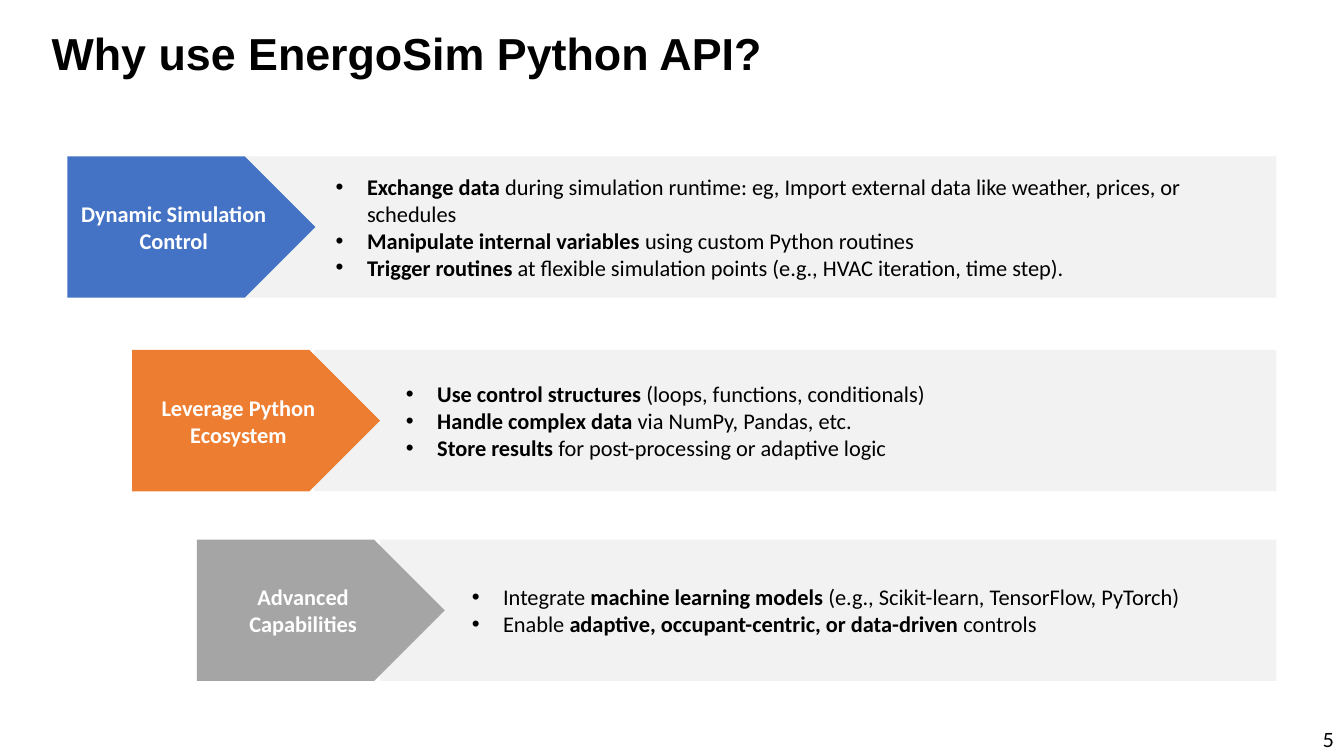
import pptx
import pptx.dml.color
import pptx.enum.shapes
import pptx.enum.text
import pptx.oxml
import pptx.oxml.ns
import pptx.util

Cm = pptx.util.Cm
ALIGN = pptx.enum.text.PP_ALIGN
SHAPES = pptx.enum.shapes.MSO_SHAPE

COLOURS = {
    "text": "000000",
    "label": "FFFFFF",
    "panel": "F2F2F2",
    "control": "4472C4",
    "ecosystem": "ED7D31",
    "capabilities": "A5A5A5",
}

# All lengths below are in centimetres
SLIDE_WIDTH, SLIDE_HEIGHT = 33.87, 19.05
ROW_LEFT, ROW_INDENT, ROW_RIGHT = 1.7, 1.63, 32.17
ROW_HEIGHT, ARROW_WIDTH = 3.56, 6.25

# Each bullet is a list of (words, bold) pieces
REASONS = [
    {"label": "Dynamic Simulation Control", "colour": "control",
     "top": 3.94, "panel_left": 6.15, "points": [
         [("Exchange data ", True),
          ("during simulation runtime: eg, Import external data like weather, "
           "prices, or schedules", False)],
         [("Manipulate internal variables ", True),
          ("using custom Python routines", False)],
         [("Trigger routines ", True),
          ("at flexible simulation points (e.g., HVAC iteration, time step).", False)]]},
    {"label": "Leverage Python Ecosystem", "colour": "ecosystem",
     "top": 8.82, "panel_left": 7.92, "points": [
         [("Use control structures ", True),
          ("(loops, functions, conditionals)", False)],
         [("Handle complex data", True), (" via NumPy, Pandas, etc.", False)],
         [("Store results ", True),
          ("for post-processing or adaptive logic", False)]]},
    {"label": "Advanced Capabilities", "colour": "capabilities",
     "top": 13.6, "panel_left": 9.58, "points": [
         [("Integrate ", False), ("machine learning models ", True),
          ("(e.g., Scikit-learn, TensorFlow, PyTorch)", False)],
         [("Enable ", False),
          ("adaptive, occupant-centric, or data-driven ", True),
          ("controls", False)]]},
]


def rgb(name):
    return pptx.dml.color.RGBColor.from_string(COLOURS[name])


def format_run(run, size, face, colour="text", bold=False):
    run.font.size = pptx.util.Pt(size)
    run.font.name = face
    run.font.bold = bold
    run.font.color.rgb = rgb(colour)


def set_frame(frame, left=0.25, right=0.25, vertical=0.13):
    frame.word_wrap = True
    frame.auto_size = pptx.enum.text.MSO_AUTO_SIZE.NONE
    frame.vertical_anchor = pptx.enum.text.MSO_ANCHOR.MIDDLE
    frame.margin_left, frame.margin_right = Cm(left), Cm(right)
    frame.margin_top = frame.margin_bottom = Cm(vertical)


def add_bullet(paragraph, indent=0.79):
    properties = paragraph._p.get_or_add_pPr()
    properties.set("marL", str(Cm(indent)))
    properties.set("indent", str(-Cm(indent)))
    namespace = pptx.oxml.ns.nsdecls("a")
    for mark in (f'<a:buFont {namespace} typeface="Arial"/>',
                 f'<a:buChar {namespace} char="•"/>'):
        properties.append(pptx.oxml.parse_xml(mark))


def add_block(slide, kind, left, top, width, height, colour):
    block = slide.shapes.add_shape(kind, Cm(left), Cm(top), Cm(width), Cm(height))
    block.shadow.inherit = False
    block.fill.solid()
    block.fill.fore_color.rgb = rgb(colour)
    block.line.fill.background()
    return block


def add_heading(slide, left, top, width, height):
    heading = slide.shapes.title
    heading.left, heading.top = Cm(left), Cm(top)
    heading.width, heading.height = Cm(width), Cm(height)
    heading.text_frame.text = "Why use EnergoSim Python API?"
    set_frame(heading.text_frame)
    line = heading.text_frame.paragraphs[0]
    line.alignment = ALIGN.LEFT
    line.line_spacing = 0.9
    format_run(line.runs[0], 32, "Arial", bold=True)


def add_reason(slide, reason, left, top, width, height):
    # Grey panel with the bullet points
    panel_left = reason["panel_left"]
    panel = add_block(slide, SHAPES.RECTANGLE, panel_left, top,
                      left + width - panel_left, height, "panel")
    frame = panel.text_frame
    set_frame(frame, left=2.31)
    for number, pieces in enumerate(reason["points"]):
        point = frame.add_paragraph() if number else frame.paragraphs[0]
        point.alignment = ALIGN.LEFT
        add_bullet(point)
        for words, bold in pieces:
            run = point.add_run()
            run.text = words
            format_run(run, 16, "Calibri", bold=bold)

    # Coloured arrow with the label
    arrow = add_block(slide, SHAPES.PENTAGON, left, top, ARROW_WIDTH, height,
                      reason["colour"])
    set_frame(arrow.text_frame)
    arrow.text_frame.text = reason["label"]
    label = arrow.text_frame.paragraphs[0]
    label.alignment = ALIGN.CENTER
    format_run(label.runs[0], 16, "Calibri", "label", bold=True)


def add_page_number(slide, left, top, width, height):
    corner = slide.shapes.add_textbox(Cm(left), Cm(top), Cm(width), Cm(height))
    set_frame(corner.text_frame, vertical=0)
    corner.text_frame.text = "5"
    number = corner.text_frame.paragraphs[0]
    number.alignment = ALIGN.RIGHT
    format_run(number.runs[0], 14, "Lato")


def main():
    deck = pptx.Presentation()
    deck.slide_width, deck.slide_height = Cm(SLIDE_WIDTH), Cm(SLIDE_HEIGHT)
    slide = deck.slides.add_slide(deck.slide_layouts.get_by_name("Title Only"))

    add_heading(slide, 1.05, 0, 27.18, 2.84)
    for step, reason in enumerate(REASONS):
        left = ROW_LEFT + step * ROW_INDENT
        add_reason(slide, reason, left, reason["top"], ROW_RIGHT - left, ROW_HEIGHT)
    add_page_number(slide, 26.07, 18.35, 7.8, 0.6)

    deck.save("out.pptx")


if __name__ == "__main__":
    main()
